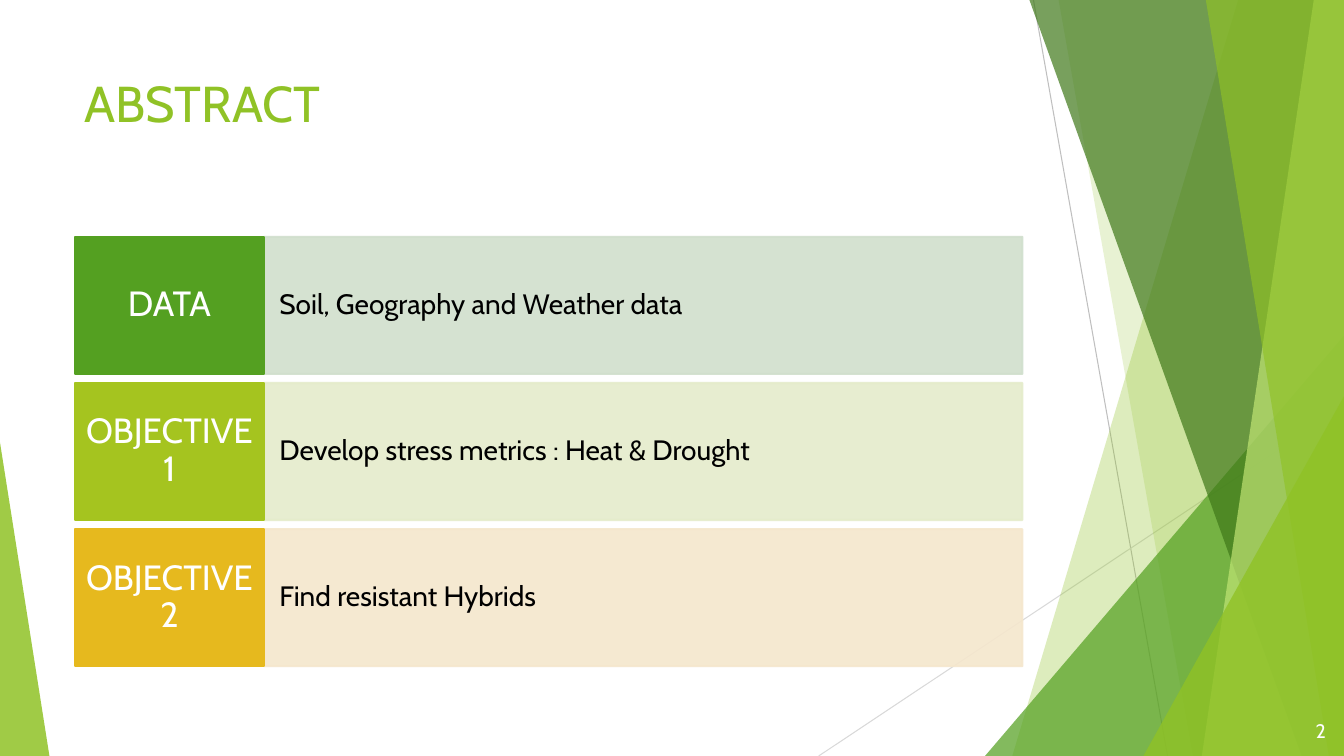
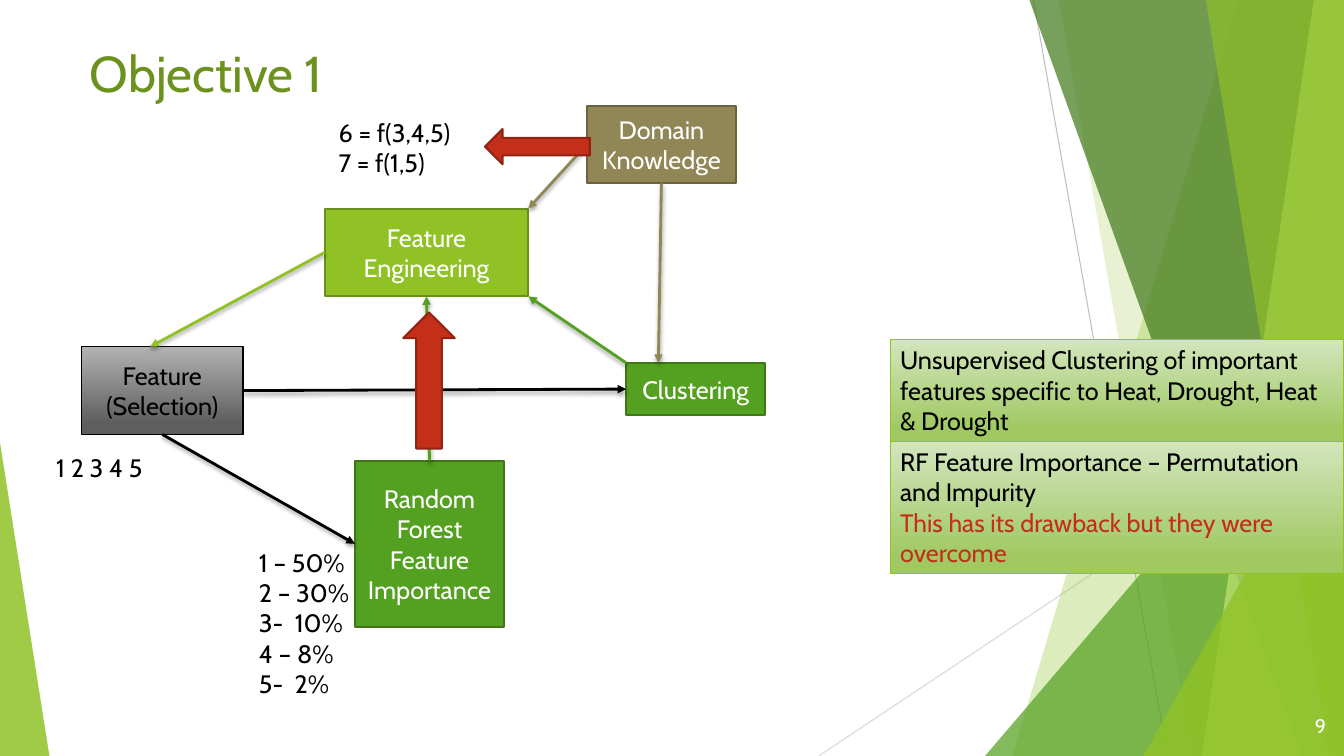
import lxml.etree
import pptx
import pptx.dml.color
import pptx.enum.shapes
import pptx.enum.text
import pptx.oxml.ns
import pptx.util

Inches = pptx.util.Inches
RGBColor = pptx.dml.color.RGBColor
Kind = pptx.enum.shapes.MSO_SHAPE
Align = pptx.enum.text.PP_ALIGN
Anchor = pptx.enum.text.MSO_ANCHOR
qn = pptx.oxml.ns.qn

WIDE, HIGH = 13.33, 7.5
FONT = "Cabin"

WHITE = RGBColor(0xFF, 0xFF, 0xFF)
BLACK = RGBColor(0x00, 0x00, 0x00)
LIME = RGBColor(0x90, 0xC2, 0x26)
MOSS = RGBColor(0x6B, 0x90, 0x1C)
OLIVE = RGBColor(0x6C, 0x92, 0x1D)
GREEN = RGBColor(0x54, 0xA0, 0x21)
PINE = RGBColor(0x3E, 0x76, 0x18)
FOREST = RGBColor(0x3F, 0x78, 0x19)
PALE = RGBColor(0xC0, 0xE4, 0x74)
CITRUS = RGBColor(0xA5, 0xC4, 0x1F)
GOLD = RGBColor(0xE6, 0xB9, 0x1E)
SAGE = RGBColor(0xD1, 0xDF, 0xCD)
CREAM = RGBColor(0xE5, 0xEC, 0xCB)
PEACH = RGBColor(0xF5, 0xE7, 0xCD)
TAN = RGBColor(0x91, 0x86, 0x55)
BROWN = RGBColor(0x6B, 0x63, 0x3F)
RED = RGBColor(0xC4, 0x2F, 0x1A)
WINE = RGBColor(0x91, 0x23, 0x13)
SILVER = RGBColor(0xBF, 0xBF, 0xBF)
MIST = RGBColor(0xD9, 0xD9, 0xD9)
GREYS = (RGBColor(0xB2, 0xB2, 0xB2), RGBColor(0x5E, 0x5E, 0x5E))
LEAVES = (RGBColor(0xD3, 0xE5, 0xBE), RGBColor(0xA0, 0xC9, 0x62))


class Deck:
    """Holds the style and the current slide."""

    def __init__(self):
        self.show = pptx.Presentation()
        self.show.slide_width = Inches(WIDE)
        self.show.slide_height = Inches(HIGH)
        self.plan = self.show.slide_layouts[5]
        self.page = None

    def slide(self, title, color, at, number, top):
        self.page = self.show.slides.add_slide(self.plan)
        if len(self.show.slides) == 1:
            self.share(self.decor())
        head = self.page.shapes.title
        head.left, head.top, head.width, head.height = map(Inches, at)
        self.label(head, [title], 36, color, anchor=Anchor.TOP)
        self.text((12.5, top, 0.75, 0.4), [number], 14, WHITE,
                  align=Align.RIGHT, anchor=Anchor.MIDDLE)

    def decor(self):
        """Draw the lines and glassy panes at the slide's edges."""
        return [
            self.line((10.25, 0), (11.58, HIGH), SILVER, 0.75, arrow=False),
            self.line((WIDE, 4.03), (8.12, HIGH), MIST, 0.75, arrow=False),
            self.pane(12.28, 10.04, LIME, 30),
            self.pane(10.5, 11.83, LIME, 20),
            self.wedge((9.77, 3.33, 3.56, 4.17), 1, GREEN, 72),
            self.pane(10.21, 12.91, FOREST, 70),
            self.pane(13.03, 11.92, PALE, 70),
            self.pane(11.96, 13.18, LIME, 65),
            self.wedge((11.34, 3.93, 1.99, 3.57), 1, LIME, 80),
            self.wedge((0, 4.39, 0.49, 3.11), 0, LIME, 85),
        ]

    def share(self, shapes):
        """Move shapes to the layout, so that every slide shows them."""
        for index, shape in enumerate(shapes, 101):
            shape.element.xpath(".//p:cNvPr")[0].set("id", str(index))
            self.plan.shapes.element.append(shape.element)

    def paint(self, shape, fill, edge=None, width=1.5, alpha=100):
        shape.shadow.inherit = False
        if isinstance(fill, tuple) and not isinstance(fill, RGBColor):
            shape.fill.gradient()
            shape.fill.gradient_angle = 270
            for stop, color, place in zip(shape.fill.gradient_stops, fill, (0, 0.88)):
                stop.color.rgb = color
                stop.position = place
        else:
            shape.fill.solid()
            shape.fill.fore_color.rgb = fill
        if edge is None:
            shape.line.fill.background()
        else:
            shape.line.color.rgb = edge
            shape.line.width = pptx.util.Pt(width)
        if alpha < 100:
            for tint in list(shape.element.spPr.iter(qn("a:srgbClr"))):
                lxml.etree.SubElement(tint, qn("a:alpha"), val=str(alpha * 1000))
        return shape

    def label(self, shape, lines, size, color, align=Align.LEFT,
              anchor=Anchor.MIDDLE, inset=(0.1, 0.05), space=None):
        frame = shape.text_frame
        frame.word_wrap = True
        frame.auto_size = pptx.enum.text.MSO_AUTO_SIZE.NONE
        frame.vertical_anchor = anchor
        frame.margin_left = frame.margin_right = Inches(inset[0])
        frame.margin_top = frame.margin_bottom = Inches(inset[1])
        frame.text = "\n".join(lines)
        for para in frame.paragraphs:
            para.alignment = align
            para.line_spacing = space
            para.font.name = FONT
            para.font.size = pptx.util.Pt(size)
            para.font.color.rgb = color

    def shape(self, kind, at, fill, edge=None, **look):
        shape = self.page.shapes.add_shape(kind, *map(Inches, at))
        return self.paint(shape, fill, edge, **look)

    def wedge(self, at, peak, fill, alpha):
        shape = self.shape(Kind.ISOSCELES_TRIANGLE, at, fill, alpha=alpha)
        shape.adjustments[0] = peak
        return shape

    def pane(self, top, base, fill, alpha):
        """Fill from a slanted left side to the slide's right side."""
        edge = self.page.shapes.build_freeform(Inches(top), 0)
        corners = [(WIDE, 0), (WIDE, HIGH), (base, HIGH)]
        edge.add_line_segments([(Inches(x), Inches(y)) for x, y in corners])
        return self.paint(edge.convert_to_shape(), fill, alpha=alpha)

    def text(self, at, lines, size=18, color=BLACK, anchor=Anchor.TOP, **look):
        box = self.page.shapes.add_textbox(*map(Inches, at))
        self.label(box, lines, size, color, anchor=anchor, **look)

    def node(self, at, words, fill, edge, color=WHITE, width=1.5):
        box = self.shape(Kind.RECTANGLE, at, fill, edge, width=width)
        self.label(box, [words], 18, color, Align.CENTER)
        return box

    def note(self, at, words, extra=None):
        box = self.shape(Kind.RECTANGLE, at, LEAVES, LIME, width=1)
        self.label(box, [words], 18, BLACK, anchor=Anchor.TOP)
        if extra:
            para = box.text_frame.paragraphs[0]
            para.add_line_break()
            run = para.add_run()
            run.text = extra
            run.font.color.rgb = RED

    def row(self, top, name, words, dark, light):
        bar = self.shape(Kind.RECTANGLE, (2.62, top, 7.52, 1.36), light, light, alpha=90)
        self.label(bar, [words], 20, BLACK, inset=(0.15, 0.35), space=0.9)
        tag = self.shape(Kind.RECTANGLE, (0.74, top, 1.88, 1.36), dark, dark)
        self.label(tag, [name], 25, WHITE, Align.CENTER, inset=(0.1, 0.13), space=0.9)

    def line(self, start, end, color, width=2, arrow=True):
        """Join two ends, each a point (x, y) or a (shape, side) pair."""
        glued = [not isinstance(spot[0], (int, float)) for spot in (start, end)]
        points = [(0, 0) if held else spot for held, spot in zip(glued, (start, end))]
        link = self.page.shapes.add_connector(
            pptx.enum.shapes.MSO_CONNECTOR.STRAIGHT,
            *(Inches(value) for point in points for value in point))
        if glued[0]:
            link.begin_connect(*start)
        if glued[1]:
            link.end_connect(*end)
        link.line.color.rgb = color
        link.line.width = pptx.util.Pt(width)
        props = link.element.spPr
        glow = lxml.etree.SubElement(props, qn("a:effectLst"))
        if arrow:
            lxml.etree.SubElement(props.find(qn("a:ln")), qn("a:tailEnd"), type="triangle")
            cast = lxml.etree.SubElement(
                glow, qn("a:outerShdw"), blurRad=str(int(pptx.util.Pt(3))),
                dist=str(int(pptx.util.Pt(2))), dir="5400000", rotWithShape="0")
            tint = lxml.etree.SubElement(cast, qn("a:srgbClr"), val=str(BLACK))
            lxml.etree.SubElement(tint, qn("a:alpha"), val="35000")
        return link


def abstract(deck):
    deck.slide("ABSTRACT", LIME, (0.74, 0.67, 9.4, 1.44), "2", 7.05)
    rows = [
        ("DATA", "Soil, Geography and Weather data", GREEN, SAGE),
        ("OBJECTIVE 1", "Develop stress metrics : Heat & Drought", CITRUS, CREAM),
        ("OBJECTIVE 2", "Find resistant Hybrids", GOLD, PEACH),
    ]
    for index, row in enumerate(rows):
        deck.row(2.35 + 1.45 * index, *row)


def method(deck):
    deck.slide("Objective 1", OLIVE, (0.79, 0.37, 11.5, 0.87), "9", 7)

    # Steps
    select = deck.node((0.81, 3.44, 1.6, 0.87), "Feature (Selection)",
                       GREYS, BLACK, BLACK, 1)
    craft = deck.node((3.22, 2.07, 2.02, 0.87), "Feature Engineering", LIME, MOSS)
    forest = deck.node((3.52, 4.57, 1.48, 1.65), "Random Forest Feature Importance",
                       GREEN, PINE)
    domain = deck.node((5.82, 1.05, 1.48, 0.77), "Domain Knowledge", TAN, BROWN)
    group = deck.node((6.21, 3.6, 1.38, 0.52), "Clustering", GREEN, PINE)

    # Flow between the steps (sides: 0 top, 1 left, 2 bottom, 3 right)
    deck.line((craft, 1), (1.49, 3.44), LIME)
    deck.line((select, 2), (forest, 1), BLACK)
    deck.line((forest, 0), (craft, 2), GREEN)
    deck.line((domain, 1), (5.24, 2.07), TAN)
    deck.line((domain, 2), (6.53, 3.6), TAN)
    deck.line((select, 3), (group, 1), BLACK)
    deck.line((6.21, 3.6), (5.24, 2.94), GREEN)

    # Notes
    deck.note((8.83, 4.38, 4.5, 1.31),
              "RF Feature Importance – Permutation and Impurity",
              "This has its drawback but they were overcome")
    deck.note((8.83, 3.37, 4.5, 1.01),
              "Unsupervised Clustering of important features specific to "
              "Heat, Drought, Heat & Drought")

    # Worked example
    deck.text((0.46, 4.44, 1.86, 0.4), ["1 2 3 4 5"])
    deck.text((2.47, 5.38, 1.81, 1.62),
              ["1 – 50%", "2 – 30%", "3-  10%", "4 – 8%", "5-  2%"])
    deck.text((3.26, 1.11, 1.67, 0.71), ["6 = f(3,4,5)", "7 = f(1,5)"])
    deck.shape(Kind.LEFT_ARROW, (4.81, 1.28, 1.04, 0.35), RED, WINE)
    deck.shape(Kind.UP_ARROW, (4, 3.1, 0.51, 1.35), RED, WINE)


def main():
    deck = Deck()
    abstract(deck)
    method(deck)
    deck.show.save("out.pptx")


if __name__ == "__main__":
    main()
